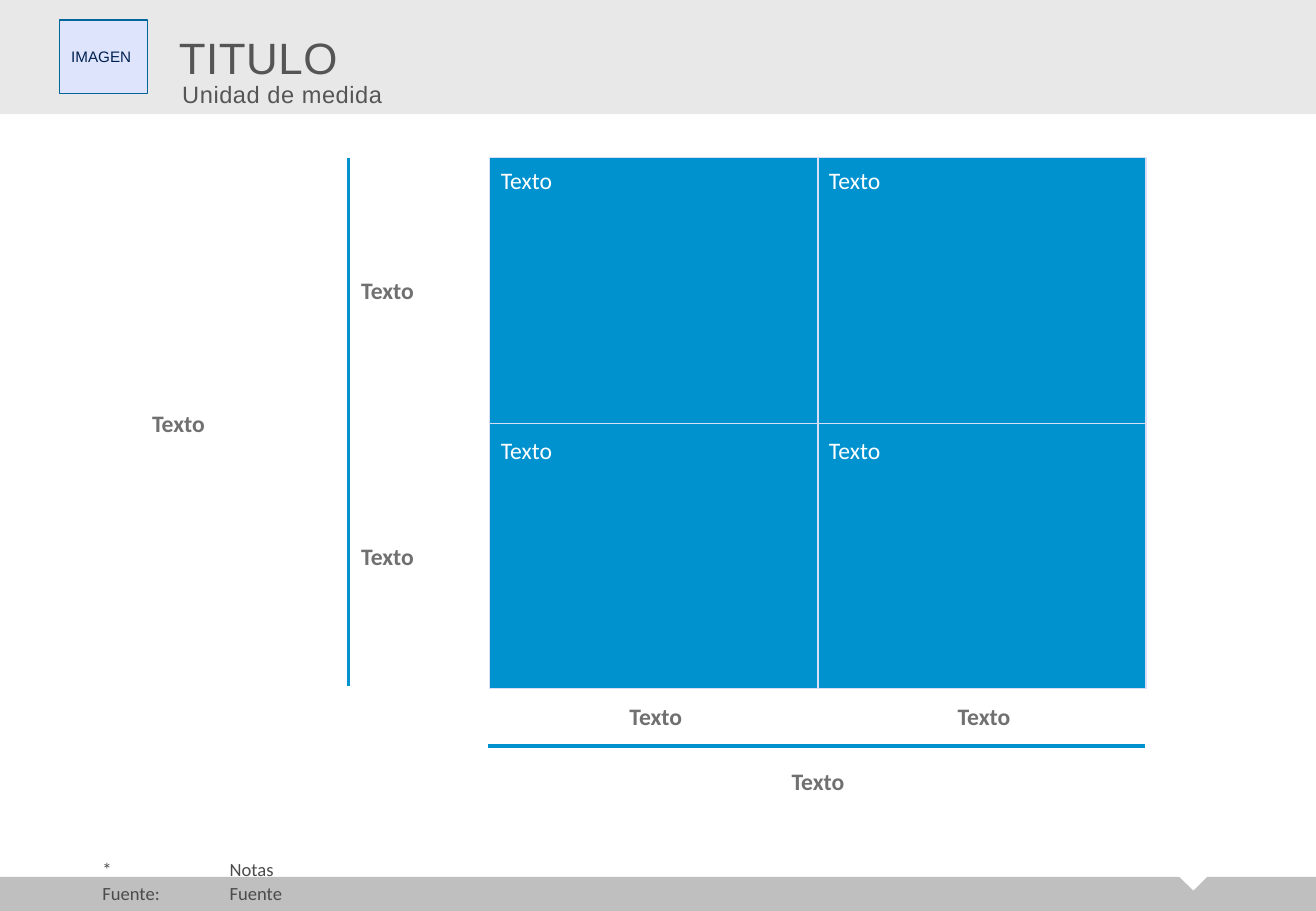
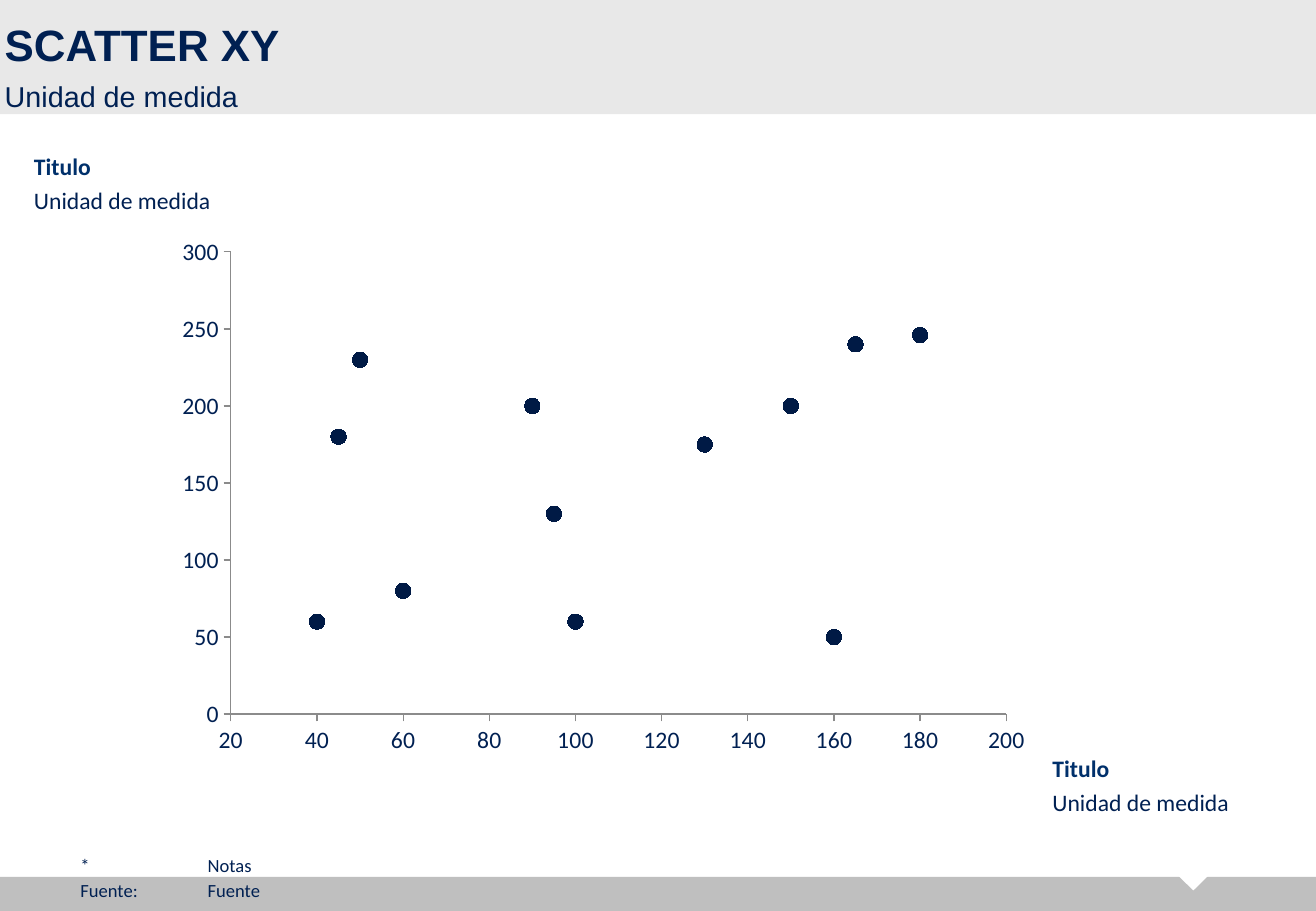
from lxml import etree
from pptx import Presentation
from pptx.chart.data import XyChartData
from pptx.dml.color import RGBColor
from pptx.enum.chart import XL_CHART_TYPE, XL_MARKER_STYLE, XL_TICK_MARK
from pptx.enum.shapes import MSO_CONNECTOR, MSO_SHAPE
from pptx.enum.text import MSO_ANCHOR, PP_ALIGN
from pptx.oxml.ns import qn
from pptx.util import Cm, Pt

RECTANGLE = MSO_SHAPE.RECTANGLE
TRIANGLE = MSO_SHAPE.ISOSCELES_TRIANGLE
STRAIGHT = MSO_CONNECTOR.STRAIGHT
SCATTER = XL_CHART_TYPE.XY_SCATTER
CIRCLE = XL_MARKER_STYLE.CIRCLE
TICK_OUTSIDE = XL_TICK_MARK.OUTSIDE
TICK_NONE = XL_TICK_MARK.NONE
TOP, MIDDLE, BOTTOM = MSO_ANCHOR.TOP, MSO_ANCHOR.MIDDLE, MSO_ANCHOR.BOTTOM
LEFT, CENTER = PP_ALIGN.LEFT, PP_ALIGN.CENTER

WIDTH, HEIGHT = 27.51, 19.05
BAND_HEIGHT = 2.39
LINE_HEIGHT = 0.61

WHITE, BAND, FOOTER = "FFFFFF", "E8E8E8", "BFBFBF"
BLUE, CELL_EDGE = "0092CF", "D7DFF6"
NAVY, TITLE_NAVY, DOT_NAVY = "002052", "00306B", "001A45"
GREY, LABEL_GREY, NOTE_GREY, AXIS_GREY = "555555", "707070", "4B4B4B", "8B8B8B"
IMAGE_FILL, IMAGE_EDGE = "DDE4FB", "006699"
HEAD_FONT, BODY_FONT = "Arial", "Calibri"

POINTS = [(40, 60), (45, 180), (50, 230), (60, 80), (90, 200), (95, 130),
          (100, 60), (130, 175), (150, 200), (160, 50), (165, 240), (180, 246)]


def color(value):
    return RGBColor.from_string(value)


def style_font(font, size, fill, name=BODY_FONT, bold=False):
    font.size = Pt(size)
    font.name = name
    font.bold = bold
    font.color.rgb = color(fill)


def write(shape, text, size, fill, name=BODY_FONT, bold=False,
          align=LEFT, anchor=TOP, spacing=0):
    frame = shape.text_frame
    frame.word_wrap = True
    frame.vertical_anchor = anchor
    paragraph = frame.paragraphs[0]
    paragraph.text = text
    paragraph.alignment = align
    style_font(paragraph.font, size, fill, name, bold)
    if spacing:
        paragraph.runs[0]._r.get_or_add_rPr().set("spc", str(spacing))


def set_margins(shape, left=0):
    frame = shape.text_frame
    frame.margin_left = Cm(left)
    frame.margin_top = frame.margin_right = frame.margin_bottom = 0


def add_box(slide, left, top, width, height, fill, edge=None, kind=RECTANGLE):
    shape = slide.shapes.add_shape(kind, Cm(left), Cm(top), Cm(width), Cm(height))
    shape.shadow.inherit = False
    shape.fill.solid()
    shape.fill.fore_color.rgb = color(fill)
    if edge:
        shape.line.color.rgb = color(edge)
        shape.line.width = Pt(0.75)
    else:
        shape.line.fill.background()
    return shape


def add_text(slide, left, top, width, text, size, fill, height=LINE_HEIGHT, **style):
    box = slide.shapes.add_textbox(Cm(left), Cm(top), Cm(width), Cm(height))
    set_margins(box)
    write(box, text, size, fill, **style)


def add_rule(slide, x1, y1, x2, y2):
    line = slide.shapes.add_connector(STRAIGHT, Cm(x1), Cm(y1), Cm(x2), Cm(y2))
    line.line.color.rgb = color(BLUE)
    line.line.width = Pt(2)
    etree.SubElement(line._element.spPr, qn("a:effectLst"))


def add_base(presentation):
    """Blank slide with footer strip, notch and header band; returns slide and band."""
    slide = presentation.slides.add_slide(presentation.slide_layouts[6])
    add_box(slide, 0, 18.34, WIDTH, HEIGHT - 18.34, FOOTER)
    notch = add_box(slide, 24.64, 18.32, 0.61, 0.3, WHITE, kind=TRIANGLE)
    notch.rotation = 180
    return slide, add_box(slide, 0, 0, WIDTH, BAND_HEIGHT, BAND)


def add_notes(slide, left, top, width, fill):
    box = slide.shapes.add_textbox(Cm(left), Cm(top), Cm(width), Cm(0.97))
    set_margins(box)
    frame = box.text_frame
    frame.word_wrap = True
    frame.vertical_anchor = BOTTOM
    frame.text = "\t*\tNotas\n\tFuente:\tFuente"
    for paragraph in frame.paragraphs:
        paragraph.line_spacing = 0.95
        paragraph.space_after = Pt(2)
        properties = paragraph._p.get_or_add_pPr()
        properties.set("marL", str(Cm(1.68)))
        properties.set("indent", str(Cm(-1.68)))
        properties.set("defTabSz", str(Cm(2.66)))
        tabs = etree.SubElement(properties, qn("a:tabLst"))
        etree.SubElement(tabs, qn("a:tab"), pos=str(Cm(1.45)), algn="r")
        style_font(paragraph.font, 11, fill)


def add_matrix(slide, left, top, cell_width, cell_height):
    """Two by two grid with labels and rules on its left and bottom sides."""
    width, height = 2 * cell_width, 2 * cell_height
    bottom = top + height
    inset, label_width = 0.23, 6.4
    label = dict(size=14, fill=LABEL_GREY, bold=True)

    def centered(x_middle, y):
        add_text(slide, x_middle - label_width / 2, y, label_width, "Texto",
                 align=CENTER, **label)

    def beside(x, y_middle, box_width):
        add_text(slide, x, y_middle - LINE_HEIGHT / 2, box_width, "Texto",
                 anchor=MIDDLE, **label)

    # Cells
    for row in range(2):
        for column in range(2):
            x = left + column * cell_width
            add_box(slide, x, top + row * cell_height, cell_width, cell_height,
                    BLUE, CELL_EDGE)
            add_text(slide, x + inset, top + 0.18 + row * 5.64, label_width,
                     "Texto", 14, WHITE)
    # Row and column labels
    for index in range(2):
        beside(left - 2.69, top + (index + 0.5) * cell_height, 2.54)
        centered(left + 0.04 + (index + 0.5) * cell_width, bottom + 0.28)
    # Axis titles and rules
    beside(left - 7.06, top + height / 2, 3.81)
    centered(left + width / 2, bottom + 1.63)
    add_rule(slide, left - 0.03, bottom + 1.2, left + width - 0.03, bottom + 1.2)
    add_rule(slide, left - 2.95, top, left - 2.95, bottom - 0.05)


def add_scatter(slide, left, top, width, height):
    data = XyChartData()
    series_data = data.add_series("Series 1")
    for x, y in POINTS:
        series_data.add_data_point(x, y)
    chart = slide.shapes.add_chart(SCATTER, Cm(left), Cm(top), Cm(width),
                                   Cm(height), data).chart
    chart.has_legend = False
    chart.has_title = False
    style_font(chart.font, 14, NAVY)

    # Points
    plot = chart.plots[0]
    plot.vary_by_categories = False
    series = plot.series[0]
    series.smooth = False
    series.format.line.fill.background()
    marker = series.marker
    marker.style = CIRCLE
    marker.size = 9
    marker.format.fill.solid()
    marker.format.fill.fore_color.rgb = color(DOT_NAVY)
    marker.format.line.color.rgb = color(DOT_NAVY)

    # Axes
    for axis, low, high, step in ((chart.category_axis, 20, 200, 20),
                                  (chart.value_axis, 0, 300, 50)):
        axis.minimum_scale = low
        axis.maximum_scale = high
        axis.major_unit = step
        axis.has_major_gridlines = False
        axis.major_tick_mark = TICK_OUTSIDE
        axis.minor_tick_mark = TICK_NONE
        axis.format.line.color.rgb = color(AXIS_GREY)
        axis.format.line.width = Pt(0.75)
        style_font(axis.tick_labels.font, 14, NAVY)

    # Fixed inner plot area
    plot_area = chart._chartSpace.chart.plotArea
    for old in plot_area.findall(qn("c:layout")):
        plot_area.remove(old)
    layout = etree.Element(qn("c:layout"))
    manual = etree.SubElement(layout, qn("c:manualLayout"))
    for tag, value in (("layoutTarget", "inner"), ("xMode", "edge"),
                       ("yMode", "edge"), ("x", "0.075"), ("y", "0.046"),
                       ("w", "0.884"), ("h", "0.857")):
        etree.SubElement(manual, qn("c:" + tag), val=value)
    plot_area.insert(0, layout)


def add_axis_title(slide, left, top):
    add_text(slide, left, top, 4.67, "Titulo", 14, TITLE_NAVY, bold=True)
    add_text(slide, left, top + 0.71, 4.67, "Unidad de medida", 14, NAVY)


def build_matrix_slide(presentation):
    slide, band = add_base(presentation)
    add_matrix(slide, 10.24, 3.3, 6.86, 5.55)
    # Header
    set_margins(band, left=3.74)
    write(band, "TITULO", 26, GREY, HEAD_FONT, anchor=MIDDLE, spacing=30)
    image_box = add_box(slide, 1.24, 0.42, 1.84, 1.54, IMAGE_FILL, IMAGE_EDGE)
    write(image_box, "IMAGEN", 9, NAVY, HEAD_FONT, anchor=MIDDLE)
    add_text(slide, 3.81, 1.67, 22.86, "Unidad de medida", 14, GREY,
             name=HEAD_FONT, spacing=30)
    add_notes(slide, 0.46, 17.96, 26, NOTE_GREY)


def build_scatter_slide(presentation):
    slide, _ = add_base(presentation)
    add_scatter(slide, 3.45, 4.75, 18.34, 11.28)
    add_axis_title(slide, 0.71, 3.18)
    add_axis_title(slide, 22, 15.77)
    # Header
    add_text(slide, 0.1, 0.38, 27.3, "SCATTER XY", 26, NAVY, height=1.12,
             name=HEAD_FONT, bold=True)
    add_text(slide, 0.1, 1.65, 27.3, "Unidad de medida", 17, NAVY, height=0.74,
             name=HEAD_FONT)
    add_notes(slide, 0, 17.88, WIDTH, NAVY)


def main():
    presentation = Presentation()
    presentation.slide_width = Cm(WIDTH)
    presentation.slide_height = Cm(HEIGHT)
    build_matrix_slide(presentation)
    build_scatter_slide(presentation)
    presentation.save("out.pptx")


if __name__ == "__main__":
    main()
